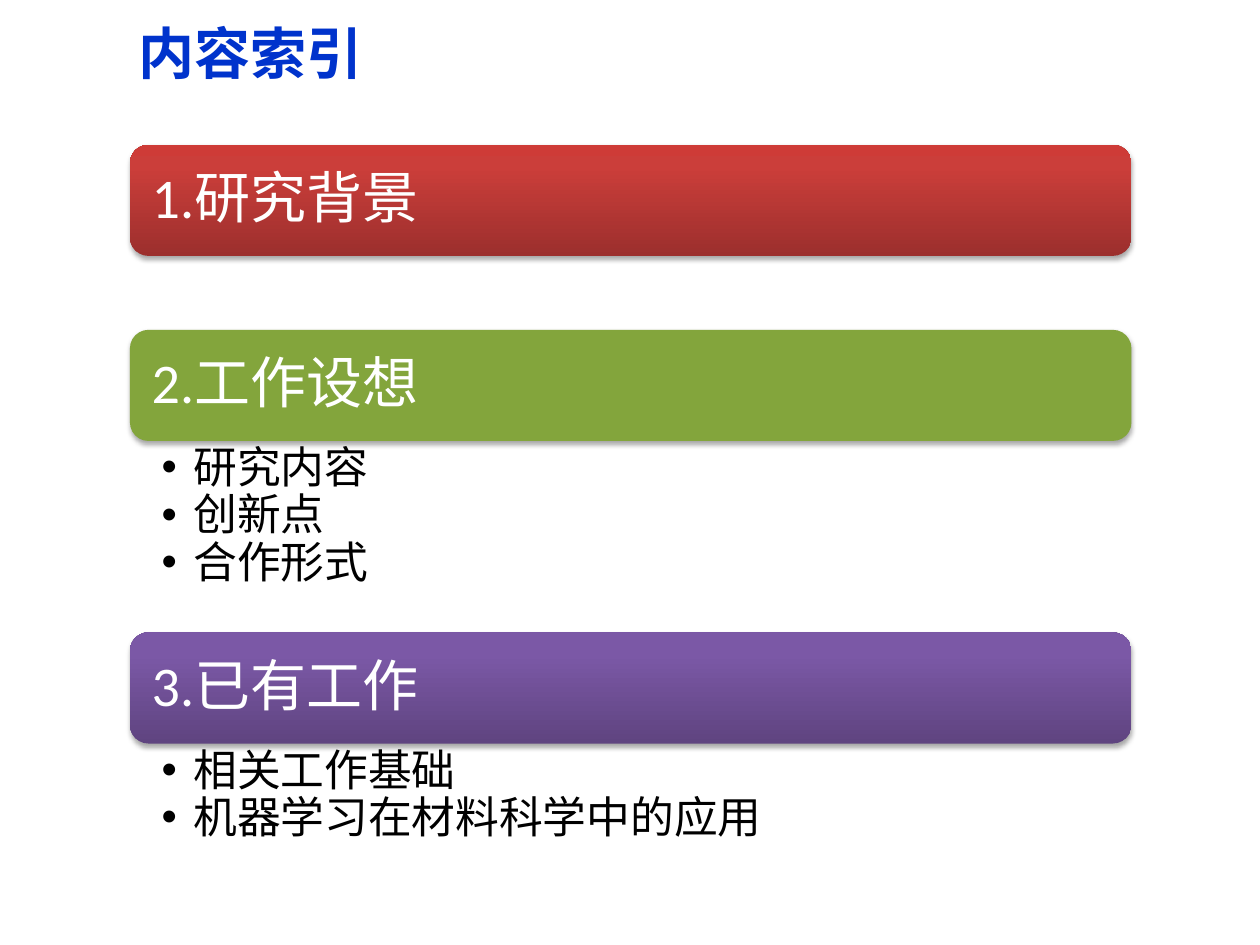
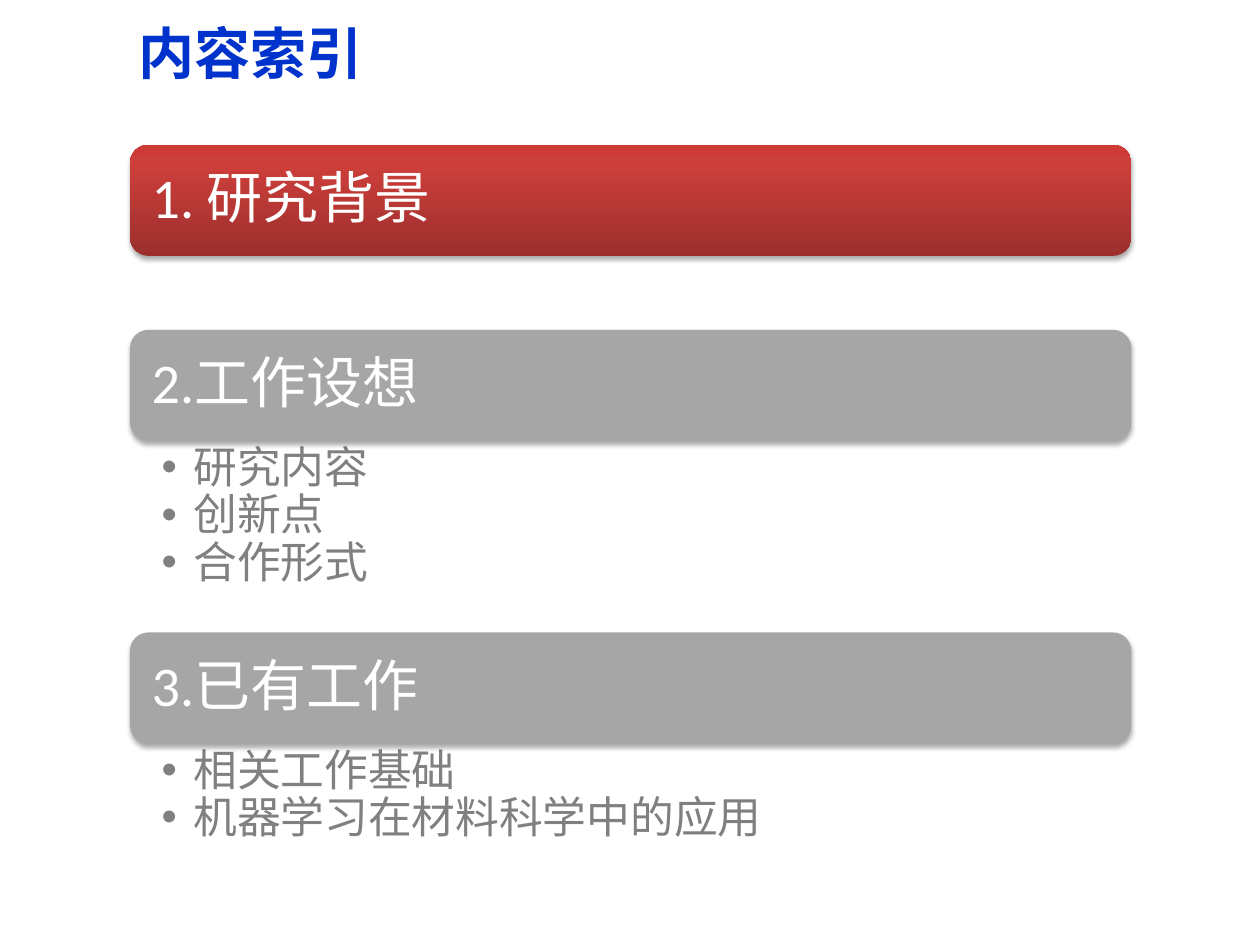
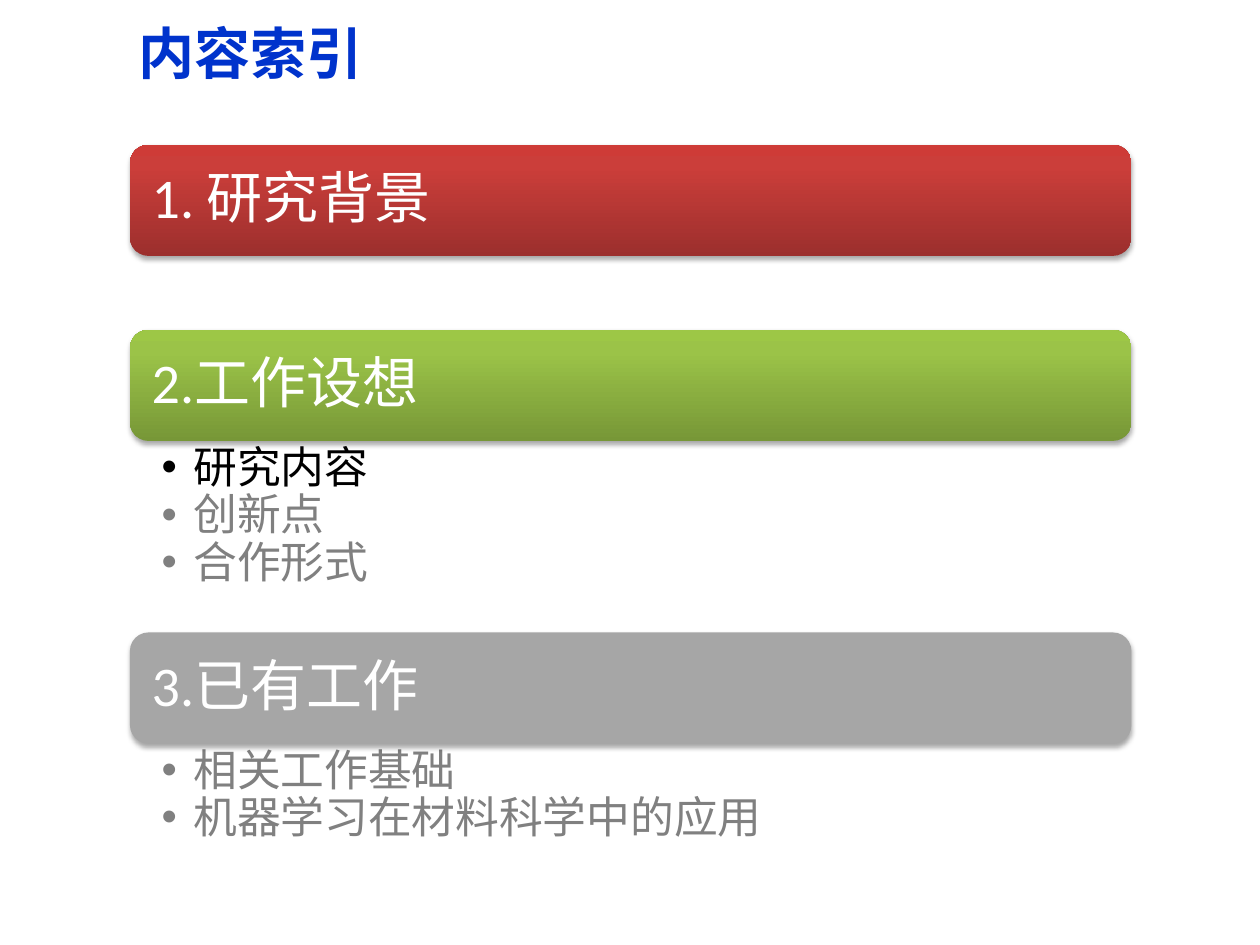
"""Build three agenda slides that step through the sections of a research talk."""
from lxml import etree
from pptx import Presentation
from pptx.dml.color import RGBColor
from pptx.enum import shapes, text
from pptx.oxml import ns, parse_xml
from pptx.util import Cm, Pt

BLUE = RGBColor(0x00, 0x33, 0xCC)
WHITE = RGBColor(0xFF, 0xFF, 0xFF)
BLACK = RGBColor(0x00, 0x00, 0x00)
GRAY = RGBColor(0x80, 0x80, 0x80)
BAND_GRAY = RGBColor(0xA6, 0xA6, 0xA6)
FLAT_GREEN = RGBColor(0x83, 0xA5, 0x3C)
RED_SHADES = RGBColor(0x9C, 0x2F, 0x2D), RGBColor(0xCB, 0x3E, 0x3A), RGBColor(0xCE, 0x3B, 0x37)
GREEN_SHADES = RGBColor(0x77, 0x97, 0x37), RGBColor(0x9B, 0xC3, 0x48), RGBColor(0x9D, 0xC7, 0x46)
PURPLE_SHADES = RGBColor(0x5F, 0x44, 0x80), RGBColor(0x7B, 0x58, 0xA6), RGBColor(0x7C, 0x57, 0xA8)

LATIN_FONT, CHINESE_FONT = "Calibri", "Noto Sans CJK SC"
LEFT, WIDTH, FIRST_TOP = Cm(2.62), Cm(20.19), Cm(2.92)
BAND_HEIGHT = Cm(2.24)
SECTION_SPACES = Cm(1.49), Cm(3.86), Cm(2.54)
INDENT = Cm(0.64)

PLAN_ITEMS = "研究内容", "创新点", "合作形式"
WORK_ITEMS = "相关工作基础", "机器学习在材料科学中的应用"
PLAN, WORK = "2.工作设想", "3.已有工作"

AGENDAS = [
    [("1.研究背景", RED_SHADES, (), ()),
     (PLAN, FLAT_GREEN, PLAN_ITEMS, [BLACK] * 3),
     (WORK, PURPLE_SHADES, WORK_ITEMS, [BLACK] * 2)],
    [("1. 研究背景", RED_SHADES, (), ()),
     (PLAN, BAND_GRAY, PLAN_ITEMS, [GRAY] * 3),
     (WORK, BAND_GRAY, WORK_ITEMS, [GRAY] * 2)],
    [("1. 研究背景", RED_SHADES, (), ()),
     (PLAN, GREEN_SHADES, PLAN_ITEMS, [BLACK, GRAY, GRAY]),
     (WORK, BAND_GRAY, WORK_ITEMS, [GRAY] * 2)],
]


def format_runs(paragraph, size, color, font=LATIN_FONT, bold=False):
    """Set size, colour, weight and both script fonts of a paragraph's runs."""
    for run in paragraph.runs:
        run.font.size, run.font.bold, run.font.name = Pt(size), bold, font
        run.font.color.rgb = color
        latin = run.font._element.find(ns.qn("a:latin"))
        latin.addnext(latin.makeelement(ns.qn("a:ea"), {"typeface": CHINESE_FONT}))


def set_insets(frame, horizontal, vertical):
    """Give a text frame equal side insets and equal top and bottom insets."""
    frame.margin_left = frame.margin_right = horizontal
    frame.margin_top = frame.margin_bottom = vertical


def place(shape, left, top, width, height):
    """Move and size a placeholder."""
    shape.left, shape.top, shape.width, shape.height = left, top, width, height


def fill_band(band, fill):
    """Fill a band with one colour, or with shades that rise from its bottom edge."""
    if isinstance(fill, RGBColor):
        band.fill.solid()
        band.fill.fore_color.rgb = fill
        return
    stops = "".join(f'<a:gs pos="{position}"><a:srgbClr val="{shade}"/></a:gs>'
                    for position, shade in zip((0, 80000, 100000), fill))
    gradient = parse_xml(f'<a:gradFill {ns.nsdecls("a")} rotWithShape="1"><a:gsLst>{stops}</a:gsLst>'
                         '<a:lin ang="16200000" scaled="0"/></a:gradFill>')
    band._element.spPr.find(ns.qn("a:prstGeom")).addnext(gradient)


def cast_shadow(band):
    """Let a band cast a soft shadow straight down."""
    band.shadow.inherit = False
    effects = band._element.spPr.find(ns.qn("a:effectLst"))
    shadow = etree.SubElement(effects, ns.qn("a:outerShdw"), blurRad=str(Pt(3.1)),
                              dist=str(Pt(1.8)), dir="5400000", rotWithShape="0")
    black = etree.SubElement(shadow, ns.qn("a:srgbClr"), val=str(BLACK))
    etree.SubElement(black, ns.qn("a:alpha"), val="35000")


def add_band(slide, heading, fill, top):
    """Add a rounded section band with its heading."""
    band = slide.shapes.add_shape(shapes.MSO_SHAPE.ROUNDED_RECTANGLE, LEFT, top, WIDTH, BAND_HEIGHT)
    fill_band(band, fill)
    band.line.fill.background()
    cast_shadow(band)
    frame = band.text_frame
    frame.text = heading
    frame.word_wrap = True
    frame.vertical_anchor = text.MSO_ANCHOR.MIDDLE
    set_insets(frame, Cm(0.33), Cm(0.33))
    paragraph = frame.paragraphs[0]
    paragraph.alignment = text.PP_ALIGN.LEFT
    paragraph.line_spacing = 0.9
    format_runs(paragraph, 32, WHITE)


def fill_list(body, items, colors, top, height):
    """Place a body placeholder below a band and fill it with bulleted items."""
    place(body, LEFT, top, WIDTH, height)
    frame = body.text_frame
    frame.text = "\n".join(items)
    frame.auto_size = text.MSO_AUTO_SIZE.NONE
    set_insets(frame, INDENT, Cm(0.1))
    for paragraph, color in zip(frame.paragraphs, colors):
        paragraph.level = 1
        paragraph.line_spacing = 0.9
        paragraph.space_before = paragraph.space_after = Pt(0)
        properties = paragraph._p.get_or_add_pPr()
        properties.set("marL", str(INDENT))
        properties.set("indent", str(-INDENT))
        etree.SubElement(properties, ns.qn("a:buFont"), typeface="Arial")
        etree.SubElement(properties, ns.qn("a:buChar"), char="•")
        format_runs(paragraph, 25, color)


def fill_title(title):
    """Place and format the slide title."""
    place(title, Cm(2.54), Cm(-0.05), Cm(22.86), Cm(2.21))
    title.text_frame.text = "内容索引"
    title.text_frame.vertical_anchor = text.MSO_ANCHOR.MIDDLE
    paragraph = title.text_frame.paragraphs[0]
    paragraph.alignment = text.PP_ALIGN.LEFT
    format_runs(paragraph, 32, BLUE, CHINESE_FONT, bold=True)


def add_agenda(deck, sections):
    """Add a slide that stacks the section bands and their lists."""
    slide = deck.slides.add_slide(deck.slide_layouts.get_by_name("Two Content"))
    title, *bodies = slide.placeholders
    fill_title(title)
    remaining_bodies = iter(bodies)
    top = FIRST_TOP
    for (heading, fill, items, colors), space in zip(sections, SECTION_SPACES):
        add_band(slide, heading, fill, top)
        top += BAND_HEIGHT
        if items:
            fill_list(next(remaining_bodies), items, colors, top, space)
        top += space


def main():
    """Build and save the deck."""
    deck = Presentation()
    deck.slide_width, deck.slide_height = Cm(25.4), Cm(19.05)
    for sections in AGENDAS:
        add_agenda(deck, sections)
    deck.save("out.pptx")


if __name__ == "__main__":
    main()
